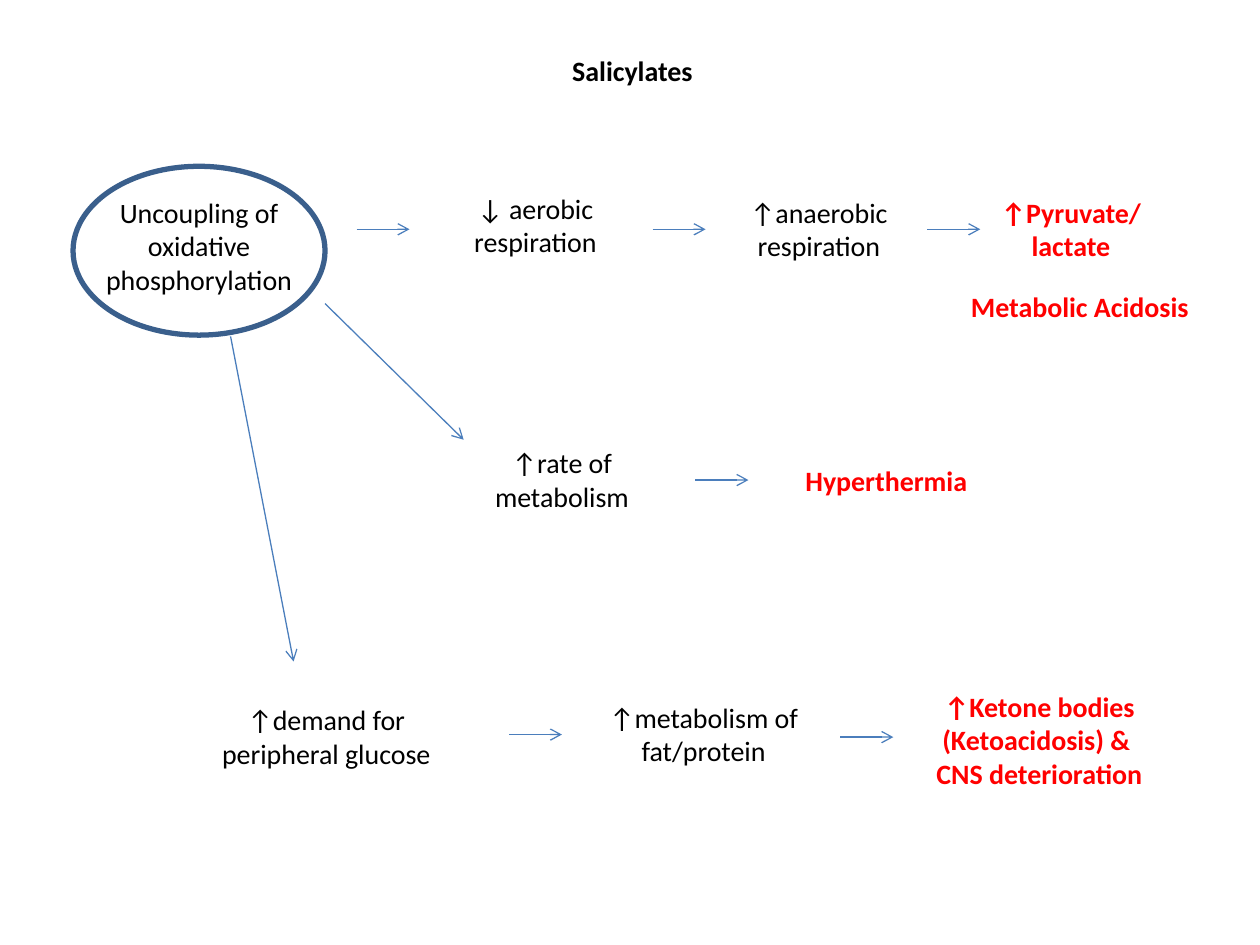
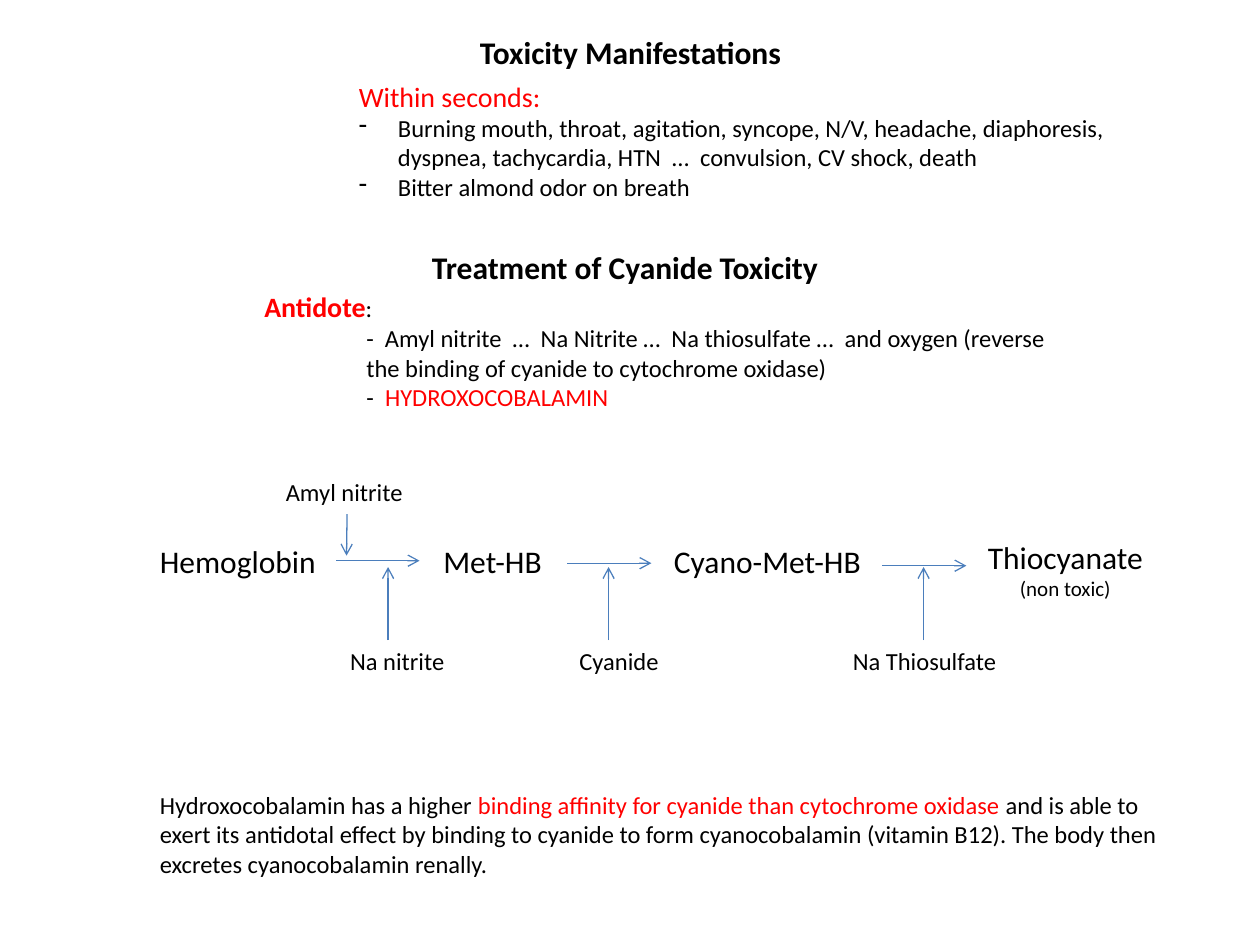
from lxml import etree
from pptx import Presentation
from pptx.dml.color import RGBColor
from pptx.enum.shapes import MSO_CONNECTOR, MSO_SHAPE
from pptx.enum.text import MSO_ANCHOR, MSO_AUTO_SIZE, PP_ALIGN
from pptx.oxml.ns import qn
from pptx.util import Inches, Pt

LEFT, CENTER = PP_ALIGN.LEFT, PP_ALIGN.CENTER
TOP, MIDDLE = MSO_ANCHOR.TOP, MSO_ANCHOR.MIDDLE
FIT_TEXT, NO_FIT = MSO_AUTO_SIZE.SHAPE_TO_FIT_TEXT, MSO_AUTO_SIZE.NONE
STRAIGHT, OVAL = MSO_CONNECTOR.STRAIGHT, MSO_SHAPE.OVAL
SIDE_LEFT, SIDE_BOTTOM, SIDE_RIGHT = 1, 2, 3

FONT = "Calibri"
BLACK = RGBColor(0x00, 0x00, 0x00)
RED = RGBColor(0xFF, 0x00, 0x00)
ARROW_BLUE = RGBColor(0x4B, 0x7E, 0xBC)
OVAL_BLUE = RGBColor(0x3A, 0x5F, 0x8C)

# Slide 1: name -> (paragraphs, (left, top, width, height))
EFFECTS = {
    "uncoupling": (["Uncoupling of oxidative phosphorylation"], (0.58, 1.5, 2, 0.91)),
    "aerobic": (["↓ aerobic respiration"], (3.5, 1.47, 1.5, 0.64)),
    "anaerobic": (["↑anaerobic respiration"], (5.78, 1.5, 1.44, 0.64)),
    "rate": (["↑rate of metabolism"], (3.74, 3.49, 1.44, 0.64)),
    "glucose": (["↑demand for peripheral glucose"], (1.5, 5.53, 2.18, 0.64)),
    "fat": (["↑metabolism of fat/protein"], (4.67, 5.51, 1.83, 0.64)),
}
OUTCOMES = {
    "pyruvate": (["↑Pyruvate/ lactate"], (7.78, 1.5, 1.44, 0.64)),
    "acidosis": (["Metabolic Acidosis"], (7.47, 2.25, 2.2, 0.37)),
    "hyperthermia": (["Hyperthermia"], (6.12, 3.63, 1.83, 0.37)),
    "ketones": (["↑Ketone bodies (Ketoacidosis) & ", "CNS deterioration"],
                (7.25, 5.42, 2, 0.91)),
}
STEP = 0.42
STEP_ARROWS = [(2.83, 1.82), (5.18, 1.82), (5.52, 3.81), (4.04, 5.83), (6.67, 5.85)]
BRANCH_ARROWS = [((2.58, 2.41), (3.68, 3.49)), ((1.83, 2.67), (2.33, 5.25))]
MECHANISM_OVAL = (0.58, 1.32, 2, 1.34)

# Slide 2: a span is a text or (text, format changes)
MANIFESTATIONS = [
    [("Within seconds:", {"size": 16, "color": RED})],
    "Burning mouth, throat, agitation, syncope, N/V, headache, diaphoresis, "
    "dyspnea, tachycardia, HTN  …  convulsion, CV shock, death",
    "Bitter almond odor on breath",
]
ANTIDOTES = [
    [("Antidote", {"size": 16, "color": RED, "bold": True}), ":"],
    "\t-  Amyl nitrite  …  Na Nitrite …  Na thiosulfate …  and oxygen "
    "(reverse the binding of cyanide to cytochrome oxidase)",
    ["\t-  ", ("HYDROXOCOBALAMIN", {"color": RED})],
]
EXPLANATION = [[
    "Hydroxocobalamin has a higher ",
    ("binding affinity for cyanide than cytochrome oxidase ", {"color": RED}),
    "and is able to exert its antidotal effect by binding to cyanide to form "
    "cyanocobalamin (vitamin B12). The body then excretes cyanocobalamin renally.",
]]
COMPOUNDS = [("Hemoglobin", 1.17, 1.5), ("Met-HB", 3.42, 1.08), ("Cyano-Met-HB", 5.25, 1.75)]
COMPOUND_TOP, COMPOUND_HEIGHT = 4.25, 0.4
THIOCYANATE = ["Thiocyanate", [("(non toxic)", {"size": 12})]]
REACTION_ARROWS = [(4.5, 4.47), (7, 4.49)]
REACTION_LENGTH = 0.67
# text, left, width, x of its upward arrow
REAGENTS = [("Na nitrite", 2.68, 0.99, 3.08), ("Cyanide", 4.5, 0.83, 4.83),
            ("Na Thiosulfate", 6.67, 1.5, 7.33)]
REAGENT_TOP, REAGENT_HEIGHT, REAGENT_ARROW_TIP = 5.08, 0.34, 4.5


def set_hanging(para, hanging, bullet, tab):
    """Indent a paragraph, with an optional bullet and tab stop."""
    properties = para._p.get_or_add_pPr()
    properties.set("marL", str(Inches(hanging)))
    properties.set("indent", str(-Inches(hanging)))
    if bullet:
        etree.SubElement(properties, qn("a:buChar")).set("char", bullet)
    if tab:
        stops = etree.SubElement(properties, qn("a:tabLst"))
        etree.SubElement(stops, qn("a:tab"), pos=str(Inches(tab)), algn="l")


def add_text(page, paragraphs, place, size=16, color=BLACK, bold=False, align=LEFT,
             anchor=TOP, fit=FIT_TEXT, hanging=None, bullet=None, tab=None):
    """Add a text box; the hanging indent applies below the first paragraph."""
    box = page.shapes.add_textbox(*map(Inches, place))
    frame = box.text_frame
    frame.word_wrap = True
    frame.auto_size = fit
    frame.vertical_anchor = anchor
    for index, spans in enumerate(paragraphs):
        para = frame.add_paragraph() if index else frame.paragraphs[0]
        para.alignment = align
        if index and hanging:
            set_hanging(para, hanging, bullet, tab)
        for span in [spans] if isinstance(spans, str) else spans:
            text, changes = (span, {}) if isinstance(span, str) else span
            look = {"size": size, "color": color, "bold": bold, **changes}
            run = para.add_run()
            run.text = text
            run.font.name = FONT
            run.font.size = Pt(look["size"])
            run.font.bold = look["bold"]
            run.font.color.rgb = look["color"]
    return box


def add_title(page, text, place, size=18, **layout):
    add_text(page, [text], place, size=size, bold=True, **layout)


def add_arrow(page, start, end):
    arrow = page.shapes.add_connector(STRAIGHT, *map(Inches, (*start, *end)))
    arrow.line.color.rgb = ARROW_BLUE
    arrow.line.width = Pt(0.75)
    etree.SubElement(arrow.line._get_or_add_ln(), qn("a:tailEnd"), type="arrow")
    etree.SubElement(arrow._element.spPr, qn("a:effectLst"))
    return arrow


def build_salicylates(page):
    add_title(page, "Salicylates", (4.25, 0.25, 1.54, 0.62), size=16,
              align=CENTER, anchor=MIDDLE, fit=NO_FIT)
    for paragraphs, place in EFFECTS.values():
        add_text(page, paragraphs, place, align=CENTER)
    outcomes = {name: add_text(page, paragraphs, place, color=RED, bold=True, align=CENTER)
                for name, (paragraphs, place) in OUTCOMES.items()}
    for x, y in STEP_ARROWS:
        add_arrow(page, (x, y), (x + STEP, y))
    for start, end in BRANCH_ARROWS:
        add_arrow(page, start, end)
    to_pyruvate = add_arrow(page, (7.36, 1.82), (7.78, 1.82))
    to_pyruvate.end_connect(outcomes["pyruvate"], SIDE_LEFT)

    oval = page.shapes.add_shape(OVAL, *map(Inches, MECHANISM_OVAL))
    oval.shadow.inherit = False
    oval.fill.background()
    oval.line.color.rgb = OVAL_BLUE
    oval.line.width = Pt(3)


def build_cyanide(page):
    add_title(page, "Toxicity Manifestations", (3.67, 0.25, 2.67, 0.33),
              align=CENTER, anchor=MIDDLE, fit=NO_FIT)
    add_text(page, MANIFESTATIONS, (2.75, 0.58, 6.42, 1.08), size=14, hanging=0.31, bullet="-")
    add_title(page, "Treatment of Cyanide Toxicity", (3.33, 1.92, 3.5, 0.42))
    add_text(page, ANTIDOTES, (2, 2.25, 6.5, 1.08), size=14, hanging=0.81, tab=0.43)

    compounds = {}
    for text, left, width in COMPOUNDS:
        place = (left, COMPOUND_TOP, width, COMPOUND_HEIGHT)
        compounds[text] = add_text(page, [text], place, size=18)
    add_text(page, THIOCYANATE, (7.58, 4.22, 1.75, 0.61), size=18, align=CENTER)
    from_hemoglobin = add_arrow(page, (2.67, 4.45), (3.33, 4.45))
    from_hemoglobin.begin_connect(compounds["Hemoglobin"], SIDE_RIGHT)
    for x, y in REACTION_ARROWS:
        add_arrow(page, (x, y), (x + REACTION_LENGTH, y))

    amyl_nitrite = add_text(page, ["Amyl nitrite"], (2.17, 3.74, 1.17, REAGENT_HEIGHT), size=14)
    from_amyl = add_arrow(page, (2.75, 4.08), (2.75, 4.41))
    from_amyl.begin_connect(amyl_nitrite, SIDE_BOTTOM)
    for text, left, width, x in REAGENTS:
        add_text(page, [text], (left, REAGENT_TOP, width, REAGENT_HEIGHT), size=14)
        add_arrow(page, (x, REAGENT_TOP), (x, REAGENT_ARROW_TIP))
    add_text(page, EXPLANATION, (1.17, 6.22, 8.33, 0.81), size=14)


def main():
    deck = Presentation()
    deck.slide_width, deck.slide_height = Inches(10), Inches(7.5)
    for build in (build_salicylates, build_cyanide):
        build(deck.slides.add_slide(deck.slide_layouts[6]))
    deck.save("out.pptx")


if __name__ == "__main__":
    main()
